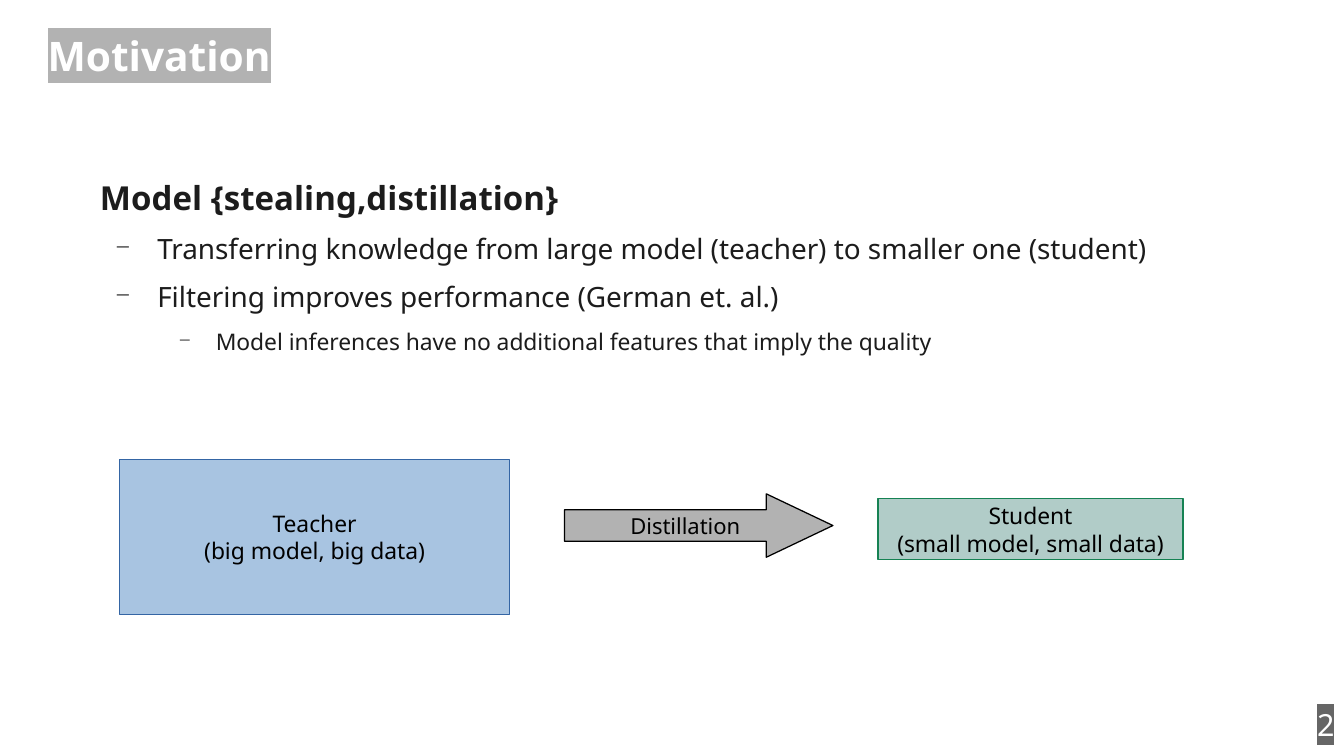
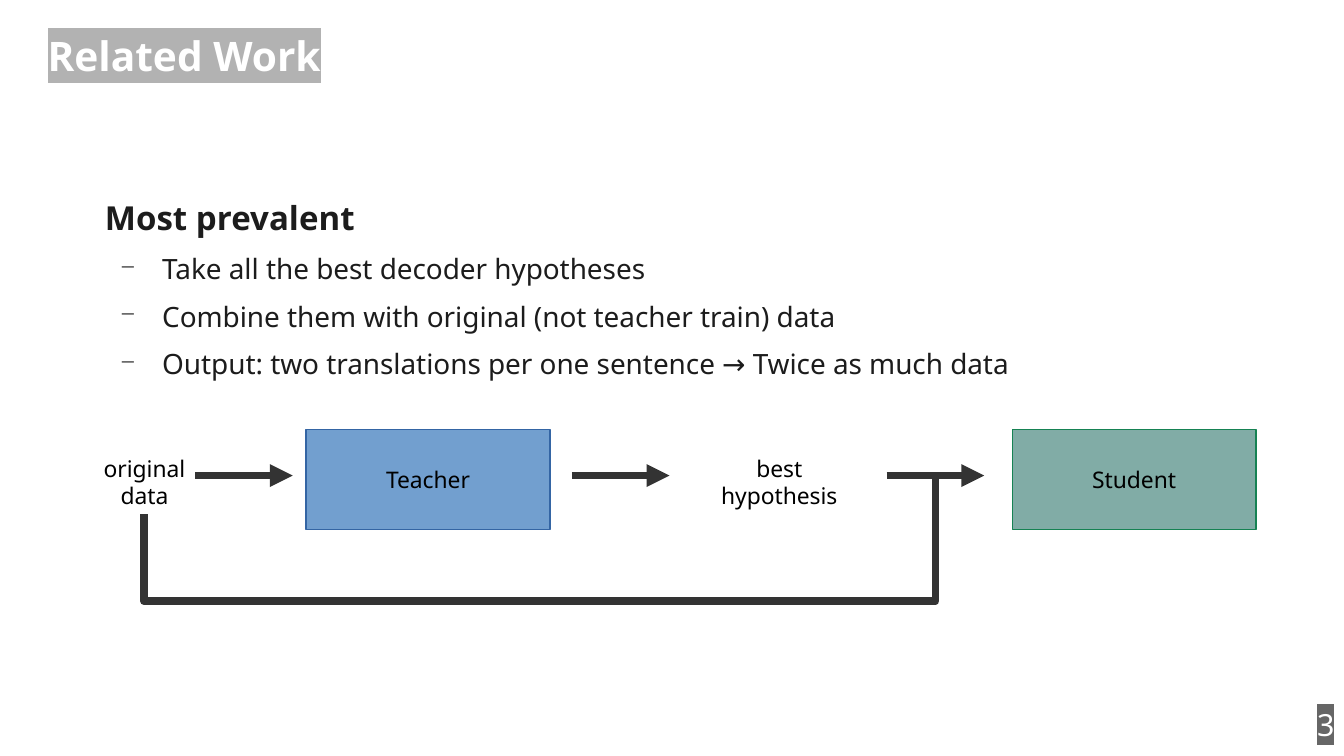
from pptx import Presentation
from pptx.dml.color import RGBColor
from pptx.enum.shapes import MSO_CONNECTOR, MSO_SHAPE
from pptx.enum.text import MSO_ANCHOR, PP_ALIGN
from pptx.oxml.ns import qn
from pptx.util import Inches, Pt
from lxml import etree

LEFT, MID, RIGHT = PP_ALIGN.LEFT, PP_ALIGN.CENTER, PP_ALIGN.RIGHT
TOP, CENTER, BOTTOM = MSO_ANCHOR.TOP, MSO_ANCHOR.MIDDLE, MSO_ANCHOR.BOTTOM
RECT, ARROW = MSO_SHAPE.RECTANGLE, MSO_SHAPE.RIGHT_ARROW
STRAIGHT = MSO_CONNECTOR.STRAIGHT

FACE = "Noto Sans"
WHITE, BLACK, INK = "FFFFFF", "000000", "1C1C1C"
GREY, DARK, WIRE = "B2B2B2", "666666", "333333"
TEACHER = ("729FCF", "3465A4")
STUDENT = ("81ACA6", "168253")
PAD = (0.1, 0.05)
# Per outline level: size, left margin, indent, space after
LEVELS = [(19.5, 0.47, 0, 8.5), (16.5, 0.94, -0.35, 8.4),
          (13.5, 1.42, -0.31, 6.3)]


def rgb(code):
    return RGBColor.from_string(code)


def child(parent, tag, **attrs):
    return etree.SubElement(parent, qn(tag), attrs)


def style(para, size, color=BLACK, bold=False, align=LEFT):
    para.alignment = align
    font = para.font
    font.name, font.size, font.bold = FACE, Pt(size), bold
    font.color.rgb = rgb(color)


def fill_text(frame, text, pad=PAD, anchor=TOP, wrap=True, **look):
    """Write one styled paragraph per line of text."""
    frame.margin_left = frame.margin_right = Inches(pad[0])
    frame.margin_top = frame.margin_bottom = Inches(pad[1])
    frame.vertical_anchor, frame.word_wrap = anchor, wrap
    frame.text = text
    for para in frame.paragraphs:
        style(para, **look)


def label(slide, at, text, **look):
    box = slide.shapes.add_textbox(*map(Inches, at))
    fill_text(box.text_frame, text, **look)
    return box.text_frame


def mark(frame, color):
    """Highlight all runs of a text frame."""
    for para in frame.paragraphs:
        for run in para.runs:
            light = child(run._r.get_or_add_rPr(), "a:highlight")
            child(light, "a:srgbClr", val=color)


def block(slide, kind, at, fill, line, alpha=None):
    shape = slide.shapes.add_shape(kind, *map(Inches, at))
    shape.shadow.inherit = False
    shape.fill.solid()
    shape.fill.fore_color.rgb = rgb(fill)
    shape.line.color.rgb = rgb(line)
    shape.line.width = Pt(0)
    if alpha:
        tint = shape._element.spPr.find(qn("a:solidFill"))[0]
        child(tint, "a:alpha", val=str(alpha * 1000))
    return shape


def model(slide, at, text, colors, alpha=None):
    box = block(slide, RECT, at, *colors, alpha)
    fill_text(box.text_frame, text, anchor=CENTER, wrap=False,
              size=13.5, align=MID)


def ink(line):
    line.color.rgb = rgb(WIRE)
    line.width = Pt(4.5)


def arrow(slide, x, y, length=0.8):
    wire = slide.shapes.add_connector(
        STRAIGHT, Inches(x), Inches(y), Inches(x + length), Inches(y))
    ink(wire.line)
    props = wire._element.spPr
    child(props.find(qn("a:ln")), "a:tailEnd", type="triangle")
    child(props, "a:effectLst")


def path(slide, points):
    """Draw an open line through the points."""
    start, *rest = [(Inches(x), Inches(y)) for x, y in points]
    pen = slide.shapes.build_freeform(*start)
    pen.add_line_segments(rest, close=False)
    shape = pen.convert_to_shape()
    shape.shadow.inherit = False
    shape.fill.background()
    ink(shape.line)


def dash(para):
    """Put a minus bullet in front of the paragraph."""
    props = para._p.get_or_add_pPr()
    color = etree.Element(qn("a:buClr"))
    child(color, "a:srgbClr", val=BLACK)
    size = etree.Element(qn("a:buSzPct"), val="75000")
    sign = etree.Element(qn("a:buChar"), char="−")
    for part in (color, size, sign):
        props.find(qn("a:defRPr")).addprevious(part)


def outline(slide, x, y, items):
    """Write (level, text) items as a heading with nested bullets."""
    text = "\n".join(words for _, words in items)
    frame = label(slide, (x, y, 10.04, 3.84), text, pad=(0, 0), size=16.5)
    for para, (level, _) in zip(frame.paragraphs, items):
        size, margin, indent, after = LEVELS[level]
        style(para, size, INK, bold=level == 0)
        para.level = level
        para.space_after = Pt(after)
        props = para._p.get_or_add_pPr()
        props.set("marL", str(Inches(margin)))
        props.set("indent", str(Inches(indent)))
        if level:
            dash(para)


def new_slide(deck, title, number):
    slide = deck.slides.add_slide(deck.slide_layouts[6])
    page = label(slide, (9.45, 5.74, 1.59, 0.44), str(number),
                 size=18, color=WHITE, align=RIGHT)
    mark(page, DARK)
    head = label(slide, (0.39, -0.09, 10.24, 0.74), title, pad=(0, 0),
                 anchor=BOTTOM, size=24, color=WHITE, bold=True)
    mark(head, GREY)
    return slide


def motive(deck):
    slide = new_slide(deck, "Motivation", 2)
    model(slide, (0.98, 3.77, 3.2, 1.27),
          "Teacher\n(big model, big data)", TEACHER, 61)
    model(slide, (7.2, 4.09, 2.5, 0.5),
          "Student\n(small model, small data)", STUDENT, 61)
    flow = block(slide, ARROW, (4.63, 4.05, 2.2, 0.52), GREY, BLACK)
    flow.adjustments[1] = 1.05
    label(slide, (5.07, 4.15, 1.15, 0.34), "Distillation",
          wrap=False, size=13)
    outline(slide, 0.35, 1.46, [
        (0, "Model {stealing,distillation}"),
        (1, "Transferring knowledge from large model (teacher) "
            "to smaller one (student)"),
        (1, "Filtering improves performance (German et. al.)"),
        (2, "Model inferences have no additional features "
            "that imply the quality"),
    ])


def related(deck):
    slide = new_slide(deck, "Related Work", 3)
    outline(slide, 0.39, 1.62, [
        (0, "Most prevalent"),
        (1, "Take all the best decoder hypotheses"),
        (1, "Combine them with original (not teacher train) data"),
        (1, "Output: two translations per one sentence "
            "→ Twice as much data"),
    ])
    for x, text, colors in ((2.51, "Teacher", TEACHER),
                            (8.3, "Student", STUDENT)):
        model(slide, (x, 3.52, 2, 0.82), text, colors)
    for x, width, text in ((0.71, 0.95, "original data"),
                           (5.78, 1.22, "best hypothesis")):
        label(slide, (x, 3.68, width, 0.61), text, size=13.5, align=MID)
    for x in (1.6, 4.69, 7.27):
        arrow(slide, x, 3.9)
    path(slide, [(1.18, 4.22), (1.18, 4.93), (7.67, 4.93), (7.67, 3.9)])


def main():
    deck = Presentation()
    deck.slide_width, deck.slide_height = Inches(11.02), Inches(6.2)
    motive(deck)
    related(deck)
    deck.save("out.pptx")


if __name__ == "__main__":
    main()
